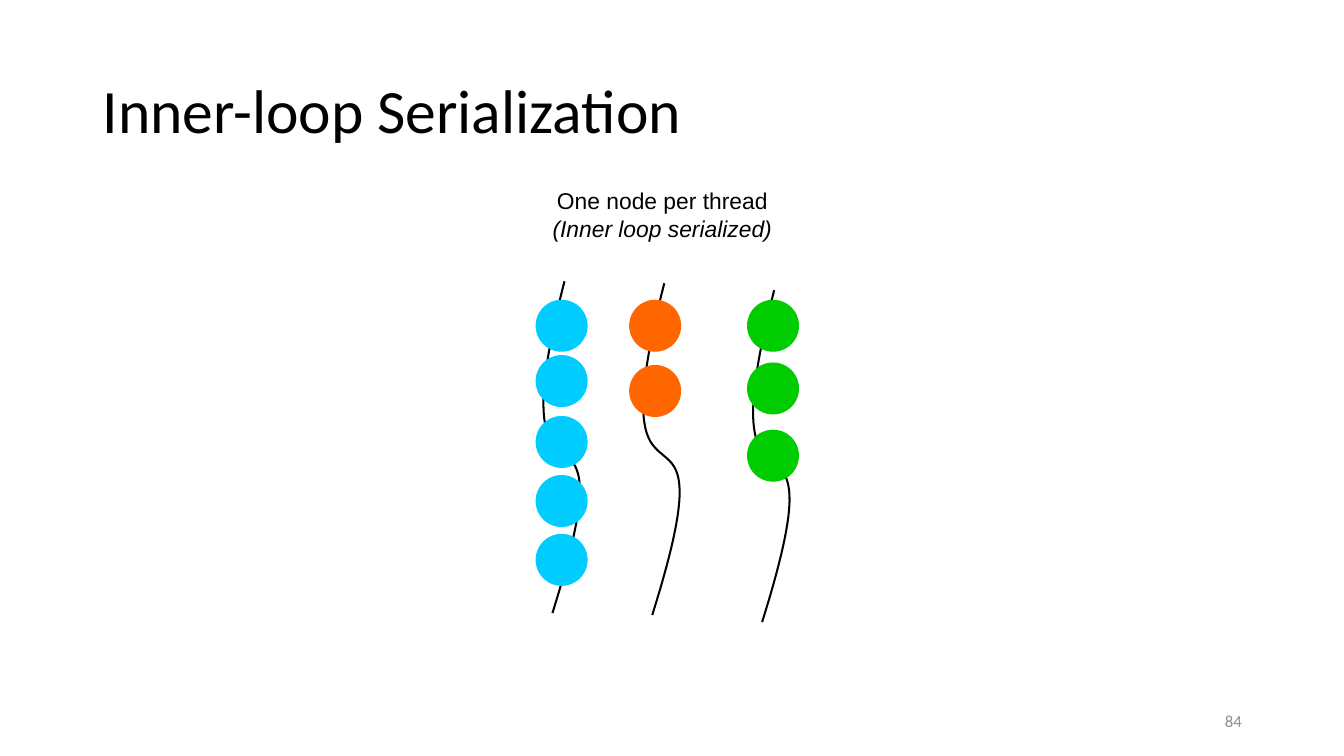
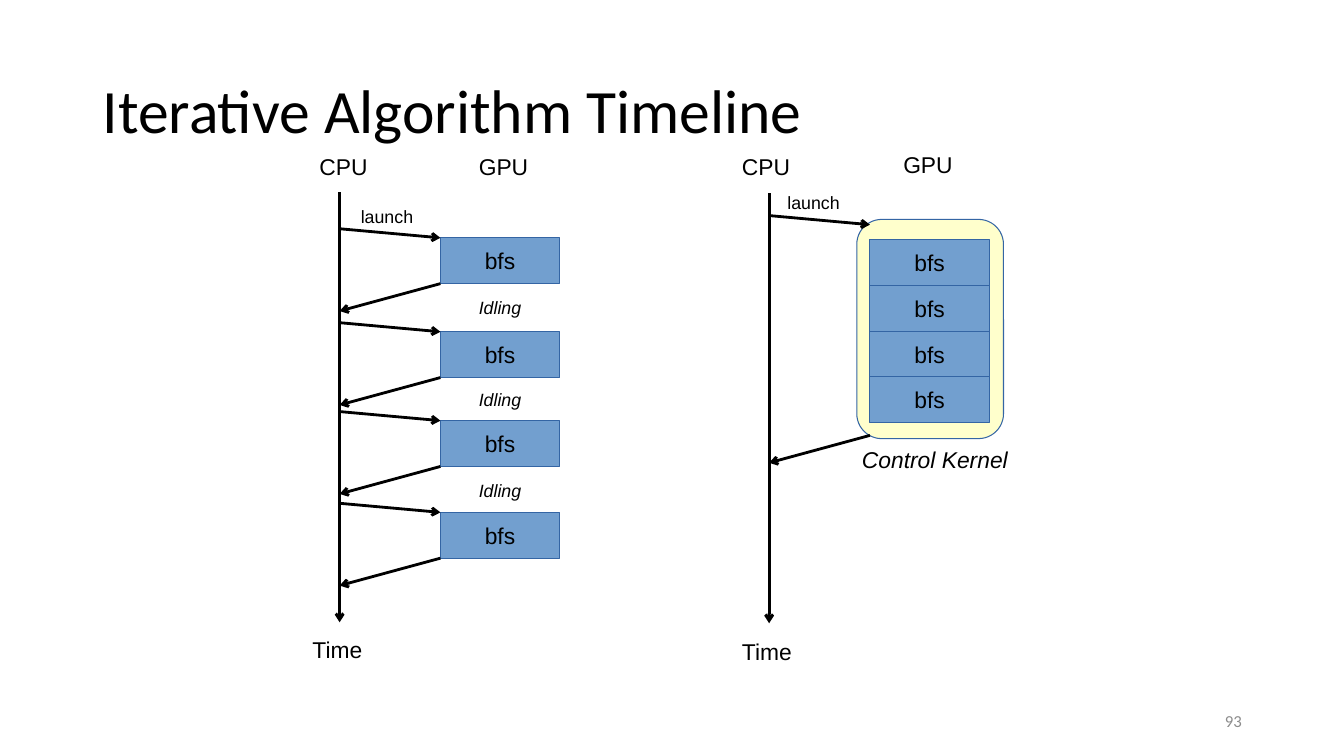
from dataclasses import dataclass

from lxml.etree import SubElement
from pptx import Presentation
from pptx.dml.color import RGBColor
from pptx.enum.shapes import MSO_CONNECTOR, MSO_SHAPE
from pptx.enum.text import MSO_ANCHOR, MSO_AUTO_SIZE, PP_ALIGN
from pptx.oxml.ns import qn
from pptx.util import Pt


@dataclass(frozen=True)
class Theme:
    # Colours
    ink: str = "000000"
    muted: str = "8C8C8C"
    blue: str = "00CCFF"
    orange: str = "FF6600"
    green: str = "00CC00"
    kernel: str = "729FCF"
    kernel_line: str = "3465A4"
    control: str = "FFFFCC"
    # Fonts and sizes
    title_font: str = "Calibri"
    body_font: str = "Arial"
    title_size: float = 44
    number_size: float = 12
    label_size: float = 16.3
    small_size: float = 12.7
    # Line widths
    thread_width: float = 1.45
    arrow_width: float = 2


THEME = Theme()
SLIDE_SIZE = (960, 540)
TITLE_BOX = (66.2, 28.8, 828, 104.4)
NUMBER_BOX = (678.2, 500.4, 216, 28.8)
LABEL_MARGINS = {"margin_left": Pt(6.5), "margin_right": Pt(6.5),
                 "margin_top": Pt(3.2), "margin_bottom": Pt(3.2)}


def points(*values):
    return [Pt(value) for value in values]


def colour(value):
    return RGBColor.from_string(value)


def apply_format(target, **values):
    for name, value in values.items():
        setattr(target, name, value)


def write(paragraph, text, size, font, ink=THEME.ink, align=PP_ALIGN.LEFT, italic=False):
    run = paragraph.add_run()
    run.text = text
    paragraph.alignment = align
    apply_format(run.font, size=Pt(size), name=font, italic=italic)
    run.font.color.rgb = colour(ink)


# Shared parts
def add_titled_slide(presentation, title, number):
    slide = presentation.slides.add_slide(presentation.slide_layouts[5])
    placeholder = slide.shapes.title
    left, top, width, height = points(*TITLE_BOX)
    apply_format(placeholder, left=left, top=top, width=width, height=height)
    apply_format(placeholder.text_frame, auto_size=MSO_AUTO_SIZE.NONE,
                 vertical_anchor=MSO_ANCHOR.MIDDLE)
    paragraph = placeholder.text_frame.paragraphs[0]
    paragraph.line_spacing = 0.9
    write(paragraph, title, THEME.title_size, THEME.title_font)

    number_box = slide.shapes.add_textbox(*points(*NUMBER_BOX))
    apply_format(number_box.text_frame, word_wrap=True, vertical_anchor=MSO_ANCHOR.MIDDLE)
    write(number_box.text_frame.paragraphs[0], number, THEME.number_size,
          THEME.title_font, THEME.muted, PP_ALIGN.RIGHT)
    return slide


def add_label(slide, box, lines, size=THEME.label_size, align=PP_ALIGN.LEFT):
    """Each line is a pair of text and italic flag."""
    frame = slide.shapes.add_textbox(*points(*box)).text_frame
    apply_format(frame, word_wrap=False, auto_size=MSO_AUTO_SIZE.SHAPE_TO_FIT_TEXT,
                 **LABEL_MARGINS)
    for index, (text, italic) in enumerate(lines):
        paragraph = frame.add_paragraph() if index else frame.paragraphs[0]
        write(paragraph, text, size, THEME.body_font, align=align, italic=italic)


def add_filled_shape(slide, preset, box, fill, line):
    shape = slide.shapes.add_shape(preset, *points(*box))
    shape.shadow.inherit = False
    shape.fill.solid()
    shape.fill.fore_color.rgb = colour(fill)
    shape.line.color.rgb = colour(line)
    shape.line.width = Pt(0)
    return shape


def add_arrow(slide, start, end):
    connector = slide.shapes.add_connector(MSO_CONNECTOR.STRAIGHT, *points(*start, *end))
    connector.line.color.rgb = colour(THEME.ink)
    connector.line.width = Pt(THEME.arrow_width)
    properties = connector.element.spPr
    SubElement(properties.find(qn("a:ln")), qn("a:tailEnd"), type="arrow")
    SubElement(properties, qn("a:effectLst"))


# Threads with their nodes
NODE_SIZE = 36.4
THREAD_CONTROLS = ((0, 0), (-51.8, 203), (51.8, 44.8), (-8.6, 237))
CURVE_STEPS = 60


def thread_point(t):
    weights = ((1 - t) ** 3, 3 * t * (1 - t) ** 2, 3 * t ** 2 * (1 - t), t ** 3)
    return [sum(weight * control[axis] for weight, control in zip(weights, THREAD_CONTROLS))
            for axis in (0, 1)]


def add_thread(slide, left, top, fill, start, node_tops):
    """Start and node tops are measured from the top left of the first node."""
    curve = [points(left + start[0] + x, top + start[1] + y)
             for x, y in (thread_point(step / CURVE_STEPS) for step in range(CURVE_STEPS + 1))]
    builder = slide.shapes.build_freeform(*curve[0])
    builder.add_line_segments(curve[1:], close=False)
    thread = builder.convert_to_shape()
    thread.shadow.inherit = False
    thread.fill.background()
    thread.line.color.rgb = colour(THEME.ink)
    thread.line.width = Pt(THEME.thread_width)
    for node_top in node_tops:
        add_filled_shape(slide, MSO_SHAPE.OVAL,
                         (left, top + node_top, NODE_SIZE, NODE_SIZE), fill, fill)


def build_serialization(presentation):
    slide = add_titled_slide(presentation, "Inner-loop Serialization", "84")
    add_label(slide, (387.4, 130.3, 171.4, 44.6),
              [("One node per thread", False), ("(Inner loop serialized)", True)],
              align=PP_ALIGN.CENTER)
    threads = (
        (383, THEME.blue, (20.2, -13.6), (0, 39.5, 83, 125.2, 167.2)),
        (449.8, THEME.orange, (24.7, -12.2), (0, 46.6)),
        (534, THEME.green, (19, -7.2), (0, 44.8, 92.8)),
    )
    for left, fill, start, node_tops in threads:
        add_thread(slide, left, 214.5, fill, start, node_tops)


# Timelines of CPU and GPU
AXIS_HEIGHT = 307
KERNEL_OFFSET, KERNEL_WIDTH, KERNEL_HEIGHT = 72, 85.2, 32.7
LAUNCH_DROP, RETURN_DROP = 6.5, 19.6


def add_round_trip(slide, axis_x, top, height):
    kernel_x = axis_x + KERNEL_OFFSET
    add_arrow(slide, (axis_x, top - LAUNCH_DROP), (kernel_x, top))
    add_arrow(slide, (kernel_x, top + height), (axis_x, top + height + RETURN_DROP))


def add_timeline(slide, axis_x, top, kernel_tops, trips, labels, control_box=None):
    """All offsets are measured from the top of the CPU axis."""
    if control_box:
        x, y, width, height = control_box
        control = add_filled_shape(slide, MSO_SHAPE.ROUNDED_RECTANGLE,
                                   (axis_x + x, top + y, width, height),
                                   THEME.control, THEME.kernel_line)
        control.adjustments[0] = 0.17
    add_arrow(slide, (axis_x, top), (axis_x, top + AXIS_HEIGHT))
    for kernel_top in kernel_tops:
        kernel = add_filled_shape(
            slide, MSO_SHAPE.RECTANGLE,
            (axis_x + KERNEL_OFFSET, top + kernel_top, KERNEL_WIDTH, KERNEL_HEIGHT),
            THEME.kernel, THEME.kernel_line)
        apply_format(kernel.text_frame, word_wrap=False,
                     vertical_anchor=MSO_ANCHOR.MIDDLE, **LABEL_MARGINS)
        write(kernel.text_frame.paragraphs[0], "bfs", THEME.label_size,
              THEME.body_font, align=PP_ALIGN.CENTER)
    for trip_top, height in trips:
        add_round_trip(slide, axis_x, top + trip_top, height)
    for text, x, y, width, size, italic in labels:
        height = 25.2 if size == THEME.label_size else 20.9
        add_label(slide, (axis_x + x, top + y, width, height), [(text, italic)], size)


def build_timelines(presentation):
    slide = add_titled_slide(presentation, "Iterative Algorithm Timeline", "93")
    large, small = THEME.label_size, THEME.small_size

    # Every iteration is launched by the CPU
    separate_tops = (32.4, 99.5, 163, 228.5)
    labels = [("CPU", -20.9, -31.7, 47.5, large, False),
              ("GPU", 92.9, -31.7, 49, large, False),
              ("Time", -25.9, 313.2, 49, large, False),
              ("launch", 8.6, 6.5, 51.1, small, False)]
    labels += [("Idling", 92.9, 71.3 + 65.5 * gap, 43.9, small, True) for gap in range(3)]
    add_timeline(slide, 242.6, 137.5, separate_tops,
                 [(kernel_top, KERNEL_HEIGHT) for kernel_top in separate_tops], labels)

    # One control kernel holds all iterations
    stacked_tops = [33 + KERNEL_HEIGHT * row for row in range(4)]
    labels = [("CPU", -25.9, -32.4, 47.5, large, False),
              ("GPU", 89.3, -33.8, 49, large, False),
              ("Time", -25.9, 313.9, 49, large, False),
              ("launch", 6.5, -4.3, 51.1, small, False),
              ("Control Kernel", 59.8, 177.1, 118, large, True)]
    add_timeline(slide, 549.4, 138.2, stacked_tops, [(22.3, 150.5)], labels,
                 control_box=(62.6, 18.5, 104.8, 156.6))


def main():
    presentation = Presentation()
    presentation.slide_width, presentation.slide_height = points(*SLIDE_SIZE)
    build_serialization(presentation)
    build_timelines(presentation)
    presentation.save("out.pptx")


if __name__ == "__main__":
    main()
